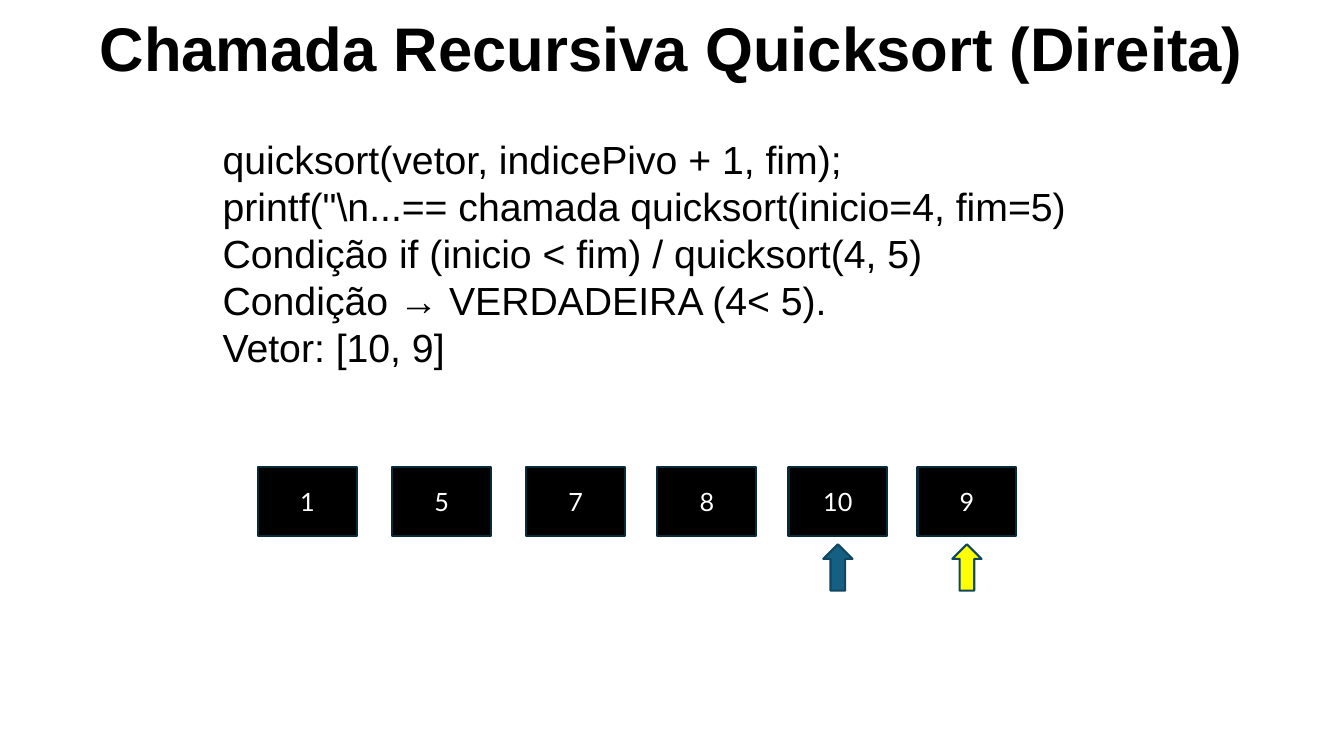
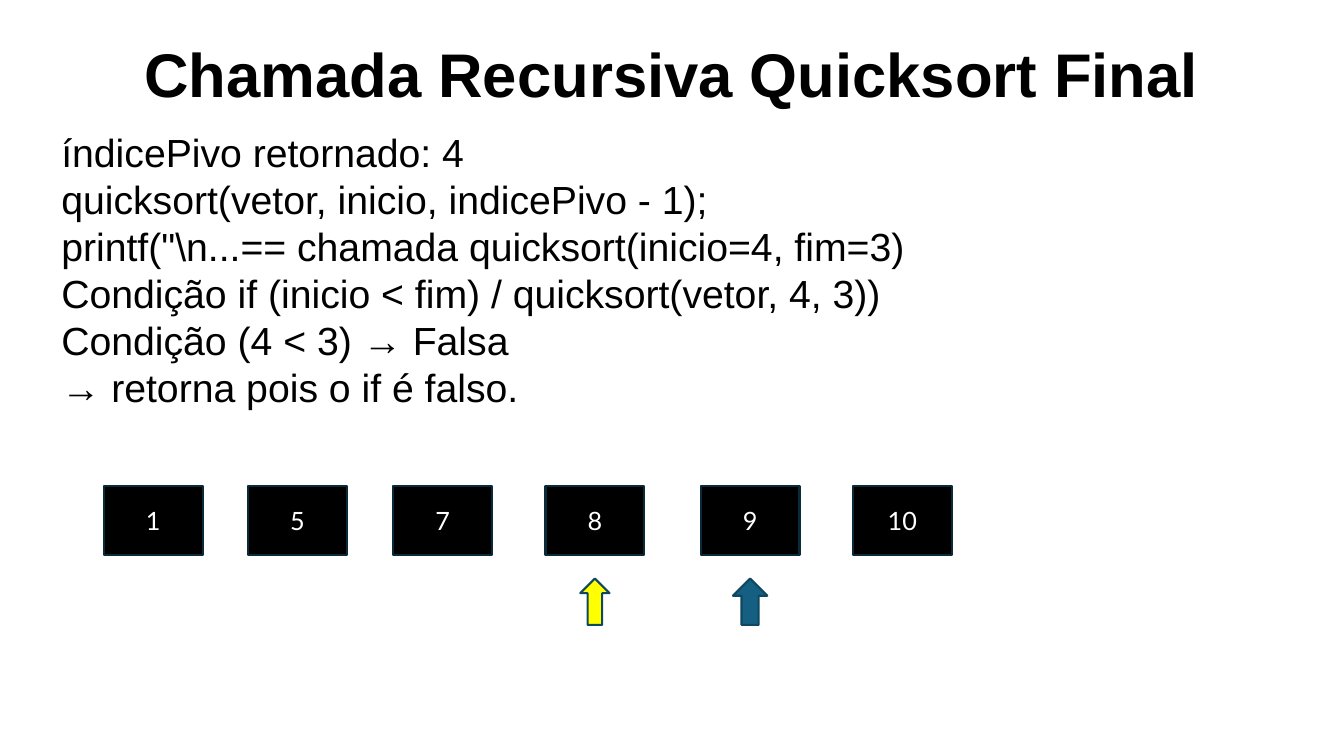
from dataclasses import dataclass
from typing import Any

import pptx
import pptx.dml.color
import pptx.enum.shapes
import pptx.enum.text
import pptx.util

Inches = pptx.util.Inches
Pt = pptx.util.Pt
Shape = pptx.enum.shapes.MSO_SHAPE
Align = pptx.enum.text.PP_ALIGN
Anchor = pptx.enum.text.MSO_ANCHOR

COLORS = {
    "text": "000000",
    "cell": "000000",
    "cell_line": "092A39",
    "cell_text": "FFFFFF",
    "start": "156082",
    "end": "FFFF00",
    "arrow_line": "104760",
}
SLIDE_WIDTH, SLIDE_HEIGHT = 13.33, 7.5
TITLE_HEIGHT = 0.84
CELL_WIDTH, CELL_HEIGHT = 0.98, 0.69
ARROW_HEIGHT = 0.46
LINE_HEIGHT = 0.47
TITLE_FONT = {"name": "Arial", "size": Pt(44), "bold": True}
BODY_FONT = {"name": "Arial", "size": Pt(28)}
CELL_FONT = {"name": "Lato", "size": Pt(18)}
FRAME_FORMAT = {
    "word_wrap": True,
    "auto_size": pptx.enum.text.MSO_AUTO_SIZE.NONE,
}


@dataclass(frozen=True)
class Box:
    left: float
    top: float
    width: float
    height: float

    def lengths(self) -> tuple[int, ...]:
        return tuple(map(Inches, (self.left, self.top, self.width, self.height)))


@dataclass(frozen=True)
class Marker:
    index: int
    color: str
    width: float = 0.29


@dataclass(frozen=True)
class Step:
    title: str
    title_top: float
    body_left: float
    body_top: float
    body_width: float
    lines: tuple[str, ...]
    values: tuple[int, ...]
    cell_lefts: tuple[float, ...]
    cell_top: float
    arrow_top: float
    markers: tuple[Marker, ...]


STEPS = (
    Step(
        title="Chamada Recursiva Quicksort (Direita)",
        title_top=0.05,
        body_left=2.11,
        body_top=1.29,
        body_width=9.11,
        lines=(
            "quicksort(vetor, indicePivo + 1, fim);",
            'printf("\\n...== chamada quicksort(inicio=4, fim=5)',
            "Condição if (inicio < fim) / quicksort(4, 5)",
            "Condição → VERDADEIRA (4< 5).",
            "Vetor: [10, 9]",
        ),
        values=(1, 5, 7, 8, 10, 9),
        cell_lefts=(2.56, 3.89, 5.22, 6.52, 7.82, 9.1),
        cell_top=4.63,
        arrow_top=5.4,
        markers=(Marker(5, "end"), Marker(4, "start")),
    ),
    Step(
        title="Chamada Recursiva Quicksort Final",
        title_top=0.31,
        body_left=0.51,
        body_top=1.22,
        body_width=10,
        lines=(
            "índicePivo retornado: 4",
            "quicksort(vetor, inicio, indicePivo - 1);",
            'printf("\\n...== chamada quicksort(inicio=4, fim=3)',
            "Condição if (inicio < fim) / quicksort(vetor, 4, 3))",
            "Condição (4 < 3) → Falsa",
            "→ retorna pois o if é falso.",
        ),
        values=(1, 5, 7, 8, 9, 10),
        cell_lefts=(1.03, 2.46, 3.9, 5.41, 6.95, 8.46),
        cell_top=4.82,
        arrow_top=5.74,
        markers=(Marker(3, "end"), Marker(4, "start", 0.34)),
    ),
)


def rgb(color: str) -> pptx.dml.color.RGBColor:
    return pptx.dml.color.RGBColor.from_string(COLORS[color])


def apply(target: Any, values: dict[str, Any]) -> None:
    for name, value in values.items():
        setattr(target, name, value)


def write(shape: Any, lines: tuple[str, ...], font: dict[str, Any], color: str,
          align: Any, anchor: Any) -> None:
    frame = shape.text_frame
    apply(frame, FRAME_FORMAT | {"vertical_anchor": anchor})
    for number, line in enumerate(lines):
        para = frame.add_paragraph() if number else frame.paragraphs[0]
        para.alignment = align
        span = para.add_run()
        span.text = line
        apply(span.font, font)
        span.font.color.rgb = rgb(color)


def add_figure(page: Any, kind: Any, box: Box, fill: str, line: str) -> Any:
    shape = page.shapes.add_shape(kind, *box.lengths())
    shape.shadow.inherit = False
    shape.fill.solid()
    shape.fill.fore_color.rgb = rgb(fill)
    shape.line.color.rgb = rgb(line)
    shape.line.width = Pt(1.5)
    return shape


def add_title(page: Any, step: Step) -> None:
    title = page.shapes.title
    box = Box(0, step.title_top, SLIDE_WIDTH, TITLE_HEIGHT)
    apply(title, dict(zip(("left", "top", "width", "height"), box.lengths())))
    write(title, (step.title,), TITLE_FONT, "text", Align.CENTER, Anchor.TOP)


def add_body(page: Any, step: Step) -> None:
    height = LINE_HEIGHT * len(step.lines) + 0.1
    box = Box(step.body_left, step.body_top, step.body_width, height)
    body = page.shapes.add_textbox(*box.lengths())
    write(body, step.lines, BODY_FONT, "text", Align.LEFT, Anchor.TOP)


def add_vector(page: Any, step: Step) -> None:
    for value, left in zip(step.values, step.cell_lefts):
        box = Box(left, step.cell_top, CELL_WIDTH, CELL_HEIGHT)
        cell = add_figure(page, Shape.RECTANGLE, box, "cell", "cell_line")
        write(cell, (str(value),), CELL_FONT, "cell_text", Align.CENTER, Anchor.MIDDLE)
    for marker in step.markers:
        left = step.cell_lefts[marker.index] + (CELL_WIDTH - marker.width) / 2
        box = Box(left, step.arrow_top, marker.width, ARROW_HEIGHT)
        add_figure(page, Shape.UP_ARROW, box, marker.color, "arrow_line")


def main() -> None:
    deck = pptx.Presentation()
    deck.slide_width = Inches(SLIDE_WIDTH)
    deck.slide_height = Inches(SLIDE_HEIGHT)
    title_only = deck.slide_layouts.get_by_name("Title Only")
    for step in STEPS:
        page = deck.slides.add_slide(title_only)
        add_title(page, step)
        add_body(page, step)
        add_vector(page, step)
    deck.save("out.pptx")


if __name__ == "__main__":
    main()
